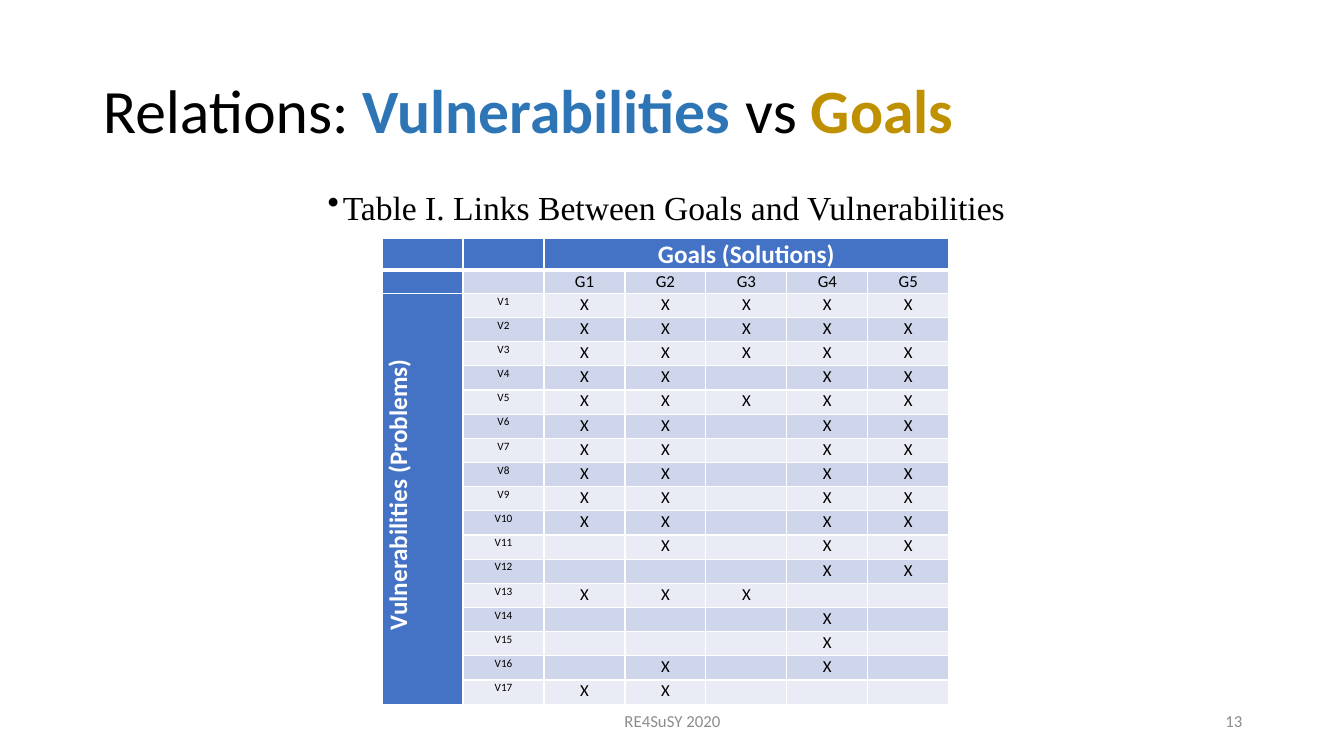
from lxml import etree
from pptx import Presentation
from pptx.dml.color import RGBColor
from pptx.enum.text import MSO_ANCHOR, MSO_AUTO_SIZE, PP_ALIGN
from pptx.oxml.ns import qn
from pptx.util import Inches, Pt

LEFT, CENTER, RIGHT = PP_ALIGN.LEFT, PP_ALIGN.CENTER, PP_ALIGN.RIGHT
MIDDLE = MSO_ANCHOR.MIDDLE
NO_FIT, GROW = MSO_AUTO_SIZE.NONE, MSO_AUTO_SIZE.SHAPE_TO_FIT_TEXT

BLACK, WHITE, GREY = "000000", "FFFFFF", "8C8C8C"
BLUE, GOLD = "2E75B6", "BF9000"
HEAD, DARK, PALE = "4472C4", "CFD5EA", "E9EBF5"

GOALS = ["G1", "G2", "G3", "G4", "G5"]
# Goals linked to each vulnerability, V1 to V17
LINKS = ["12345", "12345", "12345", "1245", "12345", "1245", "1245", "1245", "1245",
         "1245", "245", "45", "123", "4", "4", "24", "12"]


def color(code):
    return RGBColor.from_string(code)


def place(shape, left, top, width, height):
    box = dict(left=left, top=top, width=width, height=height)
    for name, value in box.items():
        setattr(shape, name, Inches(value))


def add_run(par, text, size, code=BLACK, bold=False, face="Calibri"):
    run = par.add_run()
    run.text = text
    for name, value in dict(size=Pt(size), bold=bold, name=face).items():
        setattr(run.font, name, value)
    run.font.color.rgb = color(code)


def add_title(slide):
    title = slide.shapes.title
    place(title, 0.92, 0.4, 11.5, 1.45)
    frame = title.text_frame
    for name, value in dict(vertical_anchor=MIDDLE, auto_size=NO_FIT, word_wrap=True).items():
        setattr(frame, name, value)
    par = frame.paragraphs[0]
    par.alignment, par.line_spacing = LEFT, 0.9
    add_run(par, "Relations: ", 44)
    add_run(par, "Vulnerabilities ", 44, BLUE, True)
    add_run(par, "vs ", 44)
    add_run(par, "Goals", 44, GOLD, True)


def add_box(slide, box, align, wrap=True, fit=NO_FIT):
    """Add a text box and return its first paragraph."""
    frame = slide.shapes.add_textbox(*map(Inches, box)).text_frame
    for name, value in dict(vertical_anchor=MIDDLE, word_wrap=wrap, auto_size=fit).items():
        setattr(frame, name, value)
    par = frame.paragraphs[0]
    par.alignment = align
    return par


def add_bullet(par):
    props = par._p.get_or_add_pPr()
    etree.SubElement(props, qn("a:buChar"), char="•")
    tabs = etree.SubElement(props, qn("a:tabLst"))
    for stop in (0.25, 0.75):
        etree.SubElement(tabs, qn("a:tab"), pos=str(Inches(stop)), algn="l")


def add_edges(cell, row):
    props = cell._tc.get_or_add_tcPr()
    widths = dict(L=1, R=1, T=3 if row == 1 else 1, B=3 if row == 0 else 1)
    for side, width in widths.items():
        line = etree.SubElement(props, qn("a:ln" + side), w=str(Pt(width)))
        fill = etree.SubElement(line, qn("a:solidFill"))
        etree.SubElement(fill, qn("a:srgbClr"), val=WHITE)


def fill_cell(cell, row, col, text, size, code, bold):
    pads = dict(margin_left=0.07, margin_right=0.07, margin_top=0.01, margin_bottom=0)
    for name, value in pads.items():
        setattr(cell, name, Inches(value))
    add_edges(cell, row)
    cell.fill.solid()
    stripe = DARK if row % 2 else PALE
    cell.fill.fore_color.rgb = color(HEAD if row == 0 or col == 0 else stripe)
    par = cell.text_frame.paragraphs[0]
    par.alignment = CENTER
    if text:
        add_run(par, text, size, code, bold)
    else:
        etree.SubElement(par._p, qn("a:endParaRPr"), sz=str(size * 100))


def link_rows():
    """Return the wording of the table, row by row."""
    rows = [["", "", "Goals (Solutions)", "", "", "", ""], ["", "", *GOALS]]
    for num, links in enumerate(LINKS, 1):
        side = "Vulnerabilities (Problems)" if num == 1 else ""
        marks = ["X" if goal[1:] in links else "" for goal in GOALS]
        rows.append([side, f"V{num}", *marks])
    return rows


def add_links(slide):
    rows = link_rows()
    box = map(Inches, (3.79, 2.37, 5.62, 4.62))
    table = slide.shapes.add_table(len(rows), len(rows[0]), *box).table
    for col in table.columns:
        col.width = Inches(5.62 / len(rows[0]))
    for num, row in enumerate(table.rows):
        row.height = Inches({0: 0.31, 1: 0.23}.get(num, 0.24))
    for row, words in enumerate(rows):
        for col, text in enumerate(words):
            head = bool(text) and (row == 0 or col == 0)
            size = 18 if head else 8 if col == 1 or not text else 12
            code = WHITE if head else BLACK
            fill_cell(table.cell(row, col), row, col, text, size, code, head)
    table.cell(0, 2).merge(table.cell(0, 6))
    side = table.cell(2, 0)
    side.merge(table.cell(len(rows) - 1, 0))
    side._tc.get_or_add_tcPr().set("vert", "vert270")
    side.text_frame.paragraphs[0]._p.get_or_add_pPr().set("marL", str(Inches(0.08)))


def main():
    deck = Presentation()
    deck.slide_width, deck.slide_height = Inches(13.33), Inches(7.5)
    slide = deck.slides.add_slide(deck.slide_layouts[5])
    add_title(slide)
    foot = add_box(slide, (4.42, 6.95, 4.5, 0.4), CENTER)
    add_run(foot, "RE4SuSY 2020", 12, GREY)
    page = add_box(slide, (9.42, 6.95, 3, 0.4), RIGHT)
    add_run(page, "13", 12, GREY)
    label = add_box(slide, (3.15, 1.8, 6.95, 0.5), CENTER, False, GROW)
    add_bullet(label)
    add_run(label, "Table I. Links Between Goals and Vulnerabilities", 24,
            face="Times New Roman")
    add_links(slide)
    deck.save("out.pptx")


if __name__ == "__main__":
    main()
